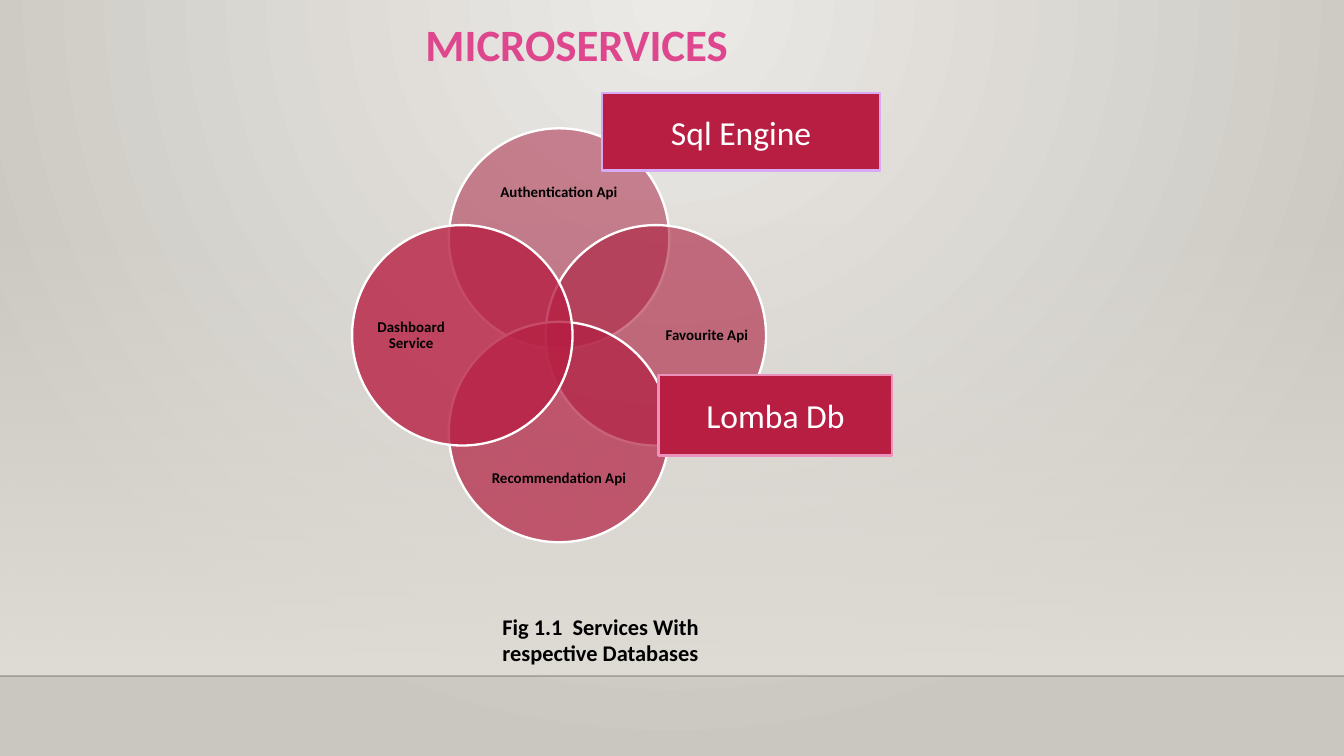
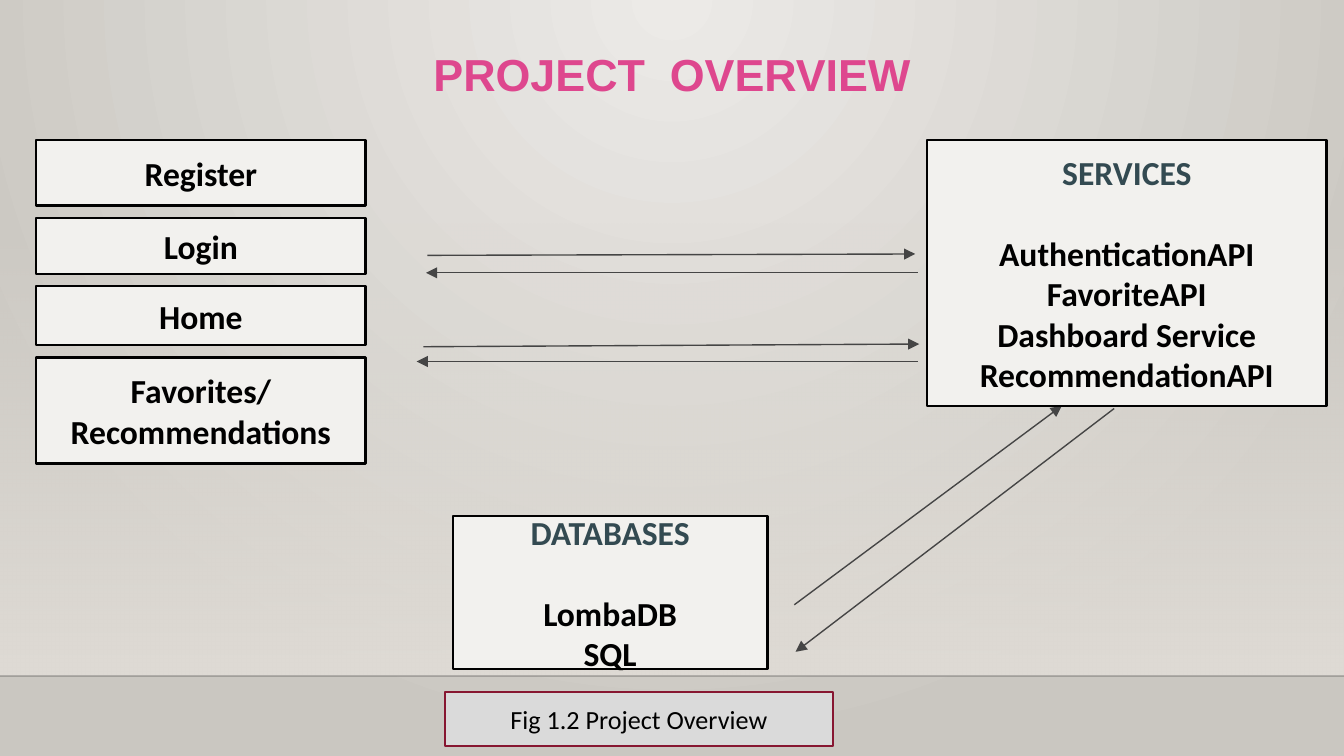
import dataclasses

import lxml.etree
import pptx
import pptx.dml.color
import pptx.enum.dml
import pptx.enum.shapes
import pptx.enum.text
import pptx.oxml.ns
import pptx.util

RGB = pptx.dml.color.RGBColor
SHAPE = pptx.enum.shapes.MSO_SHAPE
ALIGN = pptx.enum.text.PP_ALIGN
ANCHOR = pptx.enum.text.MSO_ANCHOR

PINK = RGB(0xDE, 0x47, 0x8E)
CRIMSON = RGB(0xB7, 0x1E, 0x42)
DARK_CRIMSON = RGB(0x87, 0x16, 0x31)
LILAC = RGB(0xD7, 0xAA, 0xF6)
ROSE = RGB(0xEB, 0x91, 0xBB)
BLACK = RGB(0, 0, 0)
WHITE = RGB(0xFF, 0xFF, 0xFF)
SLATE = RGB(0x33, 0x4A, 0x51)
CARD = RGB(0xF2, 0xF1, 0xEE)
CAPTION_GREY = RGB(0xDA, 0xDA, 0xDA)
ARROW_GREY = RGB(0x45, 0x45, 0x45)
BACK_LIGHT = RGB(0xEC, 0xEA, 0xE7)
BACK_DARK = RGB(0xCA, 0xC7, 0xC1)
WALL = RGB(0xDF, 0xDB, 0xD5)
FLOOR_EDGE = RGB(0, 0, 1)

# The slide is a grid of 100 columns by 56.25 rows of square cells.
COLUMNS, ROWS = 100, 56.25
CELL = 0.1
FLOOR_ROW = 50.3


def cells(count):
    return pptx.util.Inches(count * CELL)


@dataclasses.dataclass
class Box:
    left: float
    top: float
    width: float
    height: float

    def lengths(self):
        return [cells(n) for n in (self.left, self.top, self.width, self.height)]

    def centre(self):
        return self.left + self.width / 2, self.top + self.height / 2


def box_around(x, y, width, height):
    return Box(x - width / 2, y - height / 2, width, height)


def add_xml(parent, tag, **attributes):
    return lxml.etree.SubElement(parent, pptx.oxml.ns.qn(tag), attributes)


def set_opacity(colour_element, percent):
    add_xml(colour_element, "a:alpha", val=str(percent * 1000))


def set_gradient(fill, start, end):
    fill.gradient()
    for stop, colour, position in zip(fill.gradient_stops, (start, end), (0, 1)):
        stop.color.rgb = colour
        stop.position = position


def write(frame, lines, size, colour=BLACK, bold=False, font="Calibri",
          align=ALIGN.CENTER, anchor=ANCHOR.MIDDLE, spacing=None, inset=None):
    frame.word_wrap = True
    frame.vertical_anchor = anchor
    if inset is not None:
        frame.margin_left = frame.margin_right = cells(inset)
        frame.margin_top = frame.margin_bottom = cells(inset)
    frame.text = "\n".join(lines)
    for paragraph in frame.paragraphs:
        paragraph.alignment = align
        if spacing:
            paragraph.line_spacing = spacing
        for run in paragraph.runs:
            run.font.name = font
            run.font.size = pptx.util.Pt(size)
            run.font.bold = bold
            run.font.color.rgb = colour


def add_text(slide, box, lines, size, **style):
    frame = slide.shapes.add_textbox(*box.lengths()).text_frame
    write(frame, lines, size, **style)
    return frame


def add_solid(slide, box, fill, line, preset=SHAPE.RECTANGLE):
    solid = slide.shapes.add_shape(preset, *box.lengths())
    solid.shadow.inherit = False
    solid.fill.solid()
    solid.fill.fore_color.rgb = fill
    solid.line.color.rgb = line
    solid.line.width = pptx.util.Pt(1.25)
    return solid


def add_panel(slide, box, lines, size, fill, line, **style):
    panel = add_solid(slide, box, fill, line)
    write(panel.text_frame, lines, size, **style)
    return panel


def add_line(slide, start, end, colour, width):
    line = slide.shapes.add_connector(
        pptx.enum.shapes.MSO_CONNECTOR.STRAIGHT,
        *[cells(n) for n in (*start, *end)])
    line.line.color.rgb = colour
    line.line.width = pptx.util.Pt(width)
    add_xml(line._element.spPr, "a:effectLst")
    return line


def set_background(master):
    """Radial glow from the top centre, inherited by every slide."""
    set_gradient(master.background.fill, BACK_LIGHT, BACK_DARK)
    gradient = next(master._element.iter(pptx.oxml.ns.qn("a:gradFill")))
    gradient.remove(gradient.find(pptx.oxml.ns.qn("a:lin")))
    glow = add_xml(gradient, "a:path", path="circle")
    add_xml(glow, "a:fillToRect", l="43000", t="0", r="43000", b="100000")


def add_room(slide):
    """Wall that fades in from above, and the edge of the floor."""
    wall_top = 16.6
    wall = slide.shapes.add_shape(
        SHAPE.RECTANGLE, *Box(0, wall_top, COLUMNS, FLOOR_ROW - wall_top).lengths())
    wall.shadow.inherit = False
    wall.line.fill.background()
    set_gradient(wall.fill, WALL, WALL)
    wall.fill.gradient_angle = 270
    colours = list(wall._element.spPr.iter(pptx.oxml.ns.qn("a:srgbClr")))
    set_opacity(colours[0], 0)
    edge = add_line(slide, (0, FLOOR_ROW), (COLUMNS, FLOOR_ROW), FLOOR_EDGE, 1)
    set_opacity(next(edge._element.spPr.iter(pptx.oxml.ns.qn("a:srgbClr"))), 20)


def add_title(slide, box, title, font="Calibri"):
    add_text(slide, box, [title], 24, colour=PINK, bold=True, font=font,
             anchor=ANCHOR.TOP, spacing=0.9, inset=1)


def add_service_circles(slide, box):
    """Four overlapping circles that touch the sides of the box."""
    services = [
        ("Authentication Api", 0, -1, RGB(0xA6, 0x1B, 0x3C), 50),
        ("Favourite Api", 1, 0, RGB(0xAC, 0x1D, 0x3E), 60),
        ("Recommendation Api", 0, 1, RGB(0xB2, 0x1E, 0x41), 70),
        ("Dashboard Service", -1, 0, RGB(0xB7, 0x1F, 0x43), 80),
    ]
    diameter = 16.4
    reach = (box.width - diameter) / 2
    middle_x, middle_y = box.centre()
    for service, across, down, colour, opacity in services:
        circle = add_solid(
            slide, box_around(middle_x + across * reach, middle_y + down * reach,
                              diameter, diameter),
            colour, WHITE, SHAPE.OVAL)
        set_opacity(next(circle._element.spPr.iter(pptx.oxml.ns.qn("a:srgbClr"))),
                    opacity)
        label_size = (6.3, 12.6) if across else (12.6, 5.2)
        add_text(slide,
                 box_around(middle_x + across * 11, middle_y + down * 10.65, *label_size),
                 [service], 8, bold=True, spacing=0.9, inset=0)


def add_pages(slide, box):
    """Stack of application pages, one gap apart."""
    pages = [(["Register"], 4.9), (["Login"], 4.2), (["Home"], 4.4),
             (["Favorites/", "Recommendations"], 7.9)]
    gap = (box.height - sum(height for _, height in pages)) / (len(pages) - 1)
    top = box.top
    for lines, height in pages:
        add_panel(slide, Box(box.left, top, box.width, height), lines, 18,
                  CARD, BLACK, bold=True)
        top += height + gap


def add_group_card(slide, box, heading, members):
    card = add_panel(slide, box, [heading, *members], 18, CARD, BLACK, bold=True)
    first = card.text_frame.paragraphs[0]
    first.space_after = pptx.util.Pt(22)
    first.runs[0].font.color.rgb = SLATE


def add_exchange(slide, box, routes):
    """Arrows whose ends are counted in cells from the corner of the box."""
    for start_x, start_y, end_x, end_y in routes:
        arrow = add_line(slide, (box.left + start_x, box.top + start_y),
                         (box.left + end_x, box.top + end_y), ARROW_GREY, 0.75)
        add_xml(arrow.line._get_or_add_ln(), "a:tailEnd", type="triangle")


def build_microservices(slide):
    add_title(slide, Box(4, 0.7, 77.8, 6.3), "MICROSERVICES")
    add_service_circles(slide, Box(26.2, 9.55, 30.8, 30.8))
    add_panel(slide, Box(44.8, 6.9, 20.7, 5.8), ["Sql Engine"], 18,
              CRIMSON, LILAC, colour=WHITE)
    add_panel(slide, Box(49, 27.9, 17.4, 6), ["Lomba Db"], 18,
              CRIMSON, ROSE, colour=WHITE)
    caption = add_text(slide, Box(36.4, 45.1, 22.6, 5),
                       ["Fig 1.1  Services With respective Databases"], 12,
                       bold=True, align=ALIGN.LEFT, anchor=ANCHOR.TOP)
    caption.auto_size = pptx.enum.text.MSO_AUTO_SIZE.SHAPE_TO_FIT_TEXT


def build_overview(slide):
    add_exchange(slide, Box(31, 18.9, 37.4, 8),
                 [(0.8, 0.1, 37.1, 0), (37.3, 1.4, 0.7, 1.4),
                  (0.5, 6.9, 37.4, 6.7), (37.3, 8, 0, 8)])
    add_exchange(slide, Box(59.1, 30.2, 23.8, 18.3),
                 [(0, 14.8, 19.9, 0), (23.8, 0.2, 0.1, 18.3)])
    add_pages(slide, Box(2.7, 10.4, 24.5, 24.1))
    add_group_card(slide, Box(69, 10.4, 29.7, 19.8), "SERVICES",
                   ["AuthenticationAPI", "FavoriteAPI", "Dashboard Service",
                    "RecommendationAPI"])
    add_group_card(slide, Box(33.7, 38.4, 23.4, 11.4), "DATABASES",
                   ["LombaDB", "SQL"])
    add_title(slide, Box(3.4, 2.9, 93.2, 5.3), "PROJECT  OVERVIEW", font="Arial")
    add_panel(slide, Box(33.1, 51.5, 28.9, 4), ["Fig 1.2 Project Overview"], 14,
              CAPTION_GREY, DARK_CRIMSON)


def main():
    deck = pptx.Presentation()
    deck.slide_width, deck.slide_height = cells(COLUMNS), cells(ROWS)
    set_background(deck.slide_master)
    for build in (build_microservices, build_overview):
        slide = deck.slides.add_slide(deck.slide_layouts[6])
        add_room(slide)
        build(slide)
    deck.save("out.pptx")


if __name__ == "__main__":
    main()
